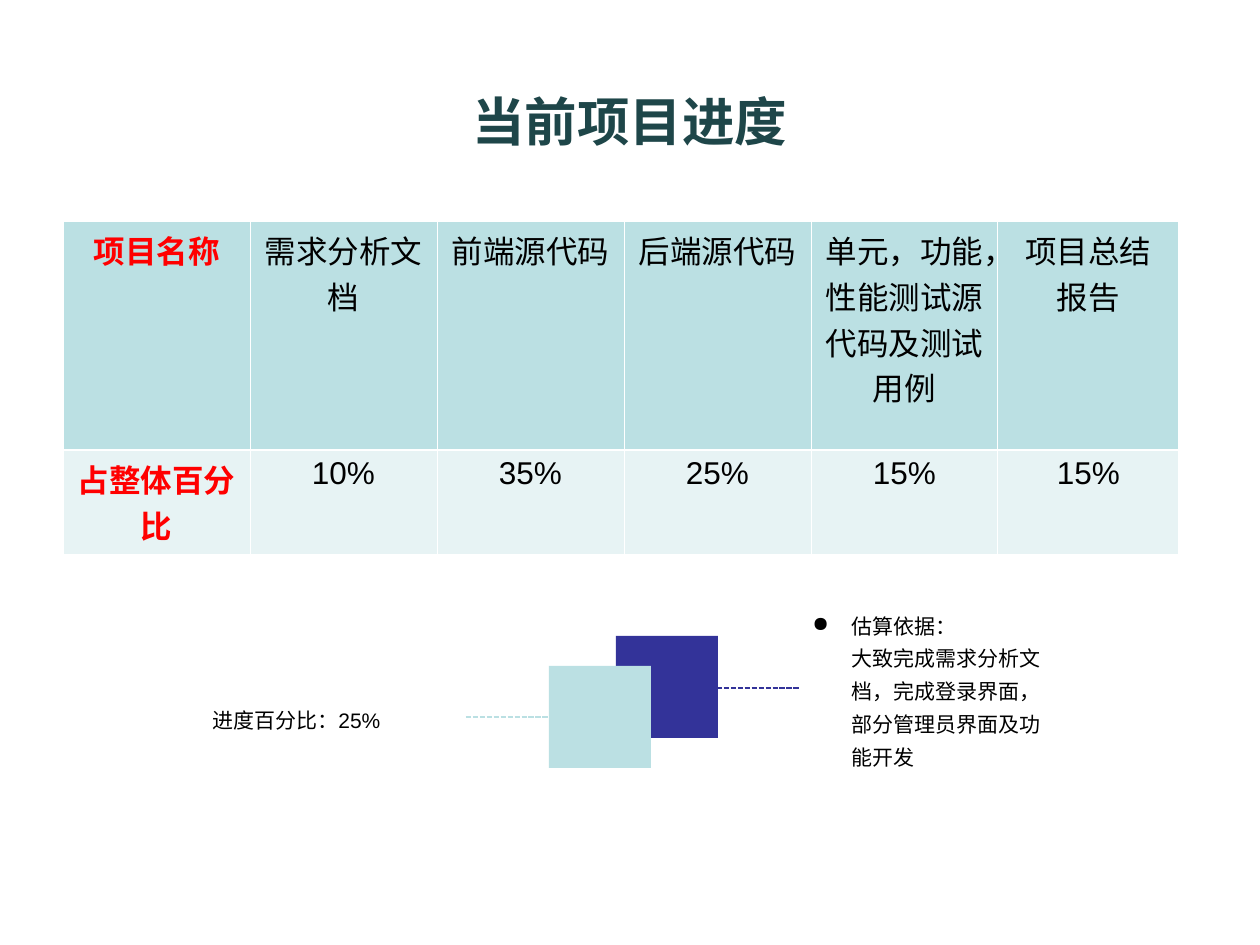
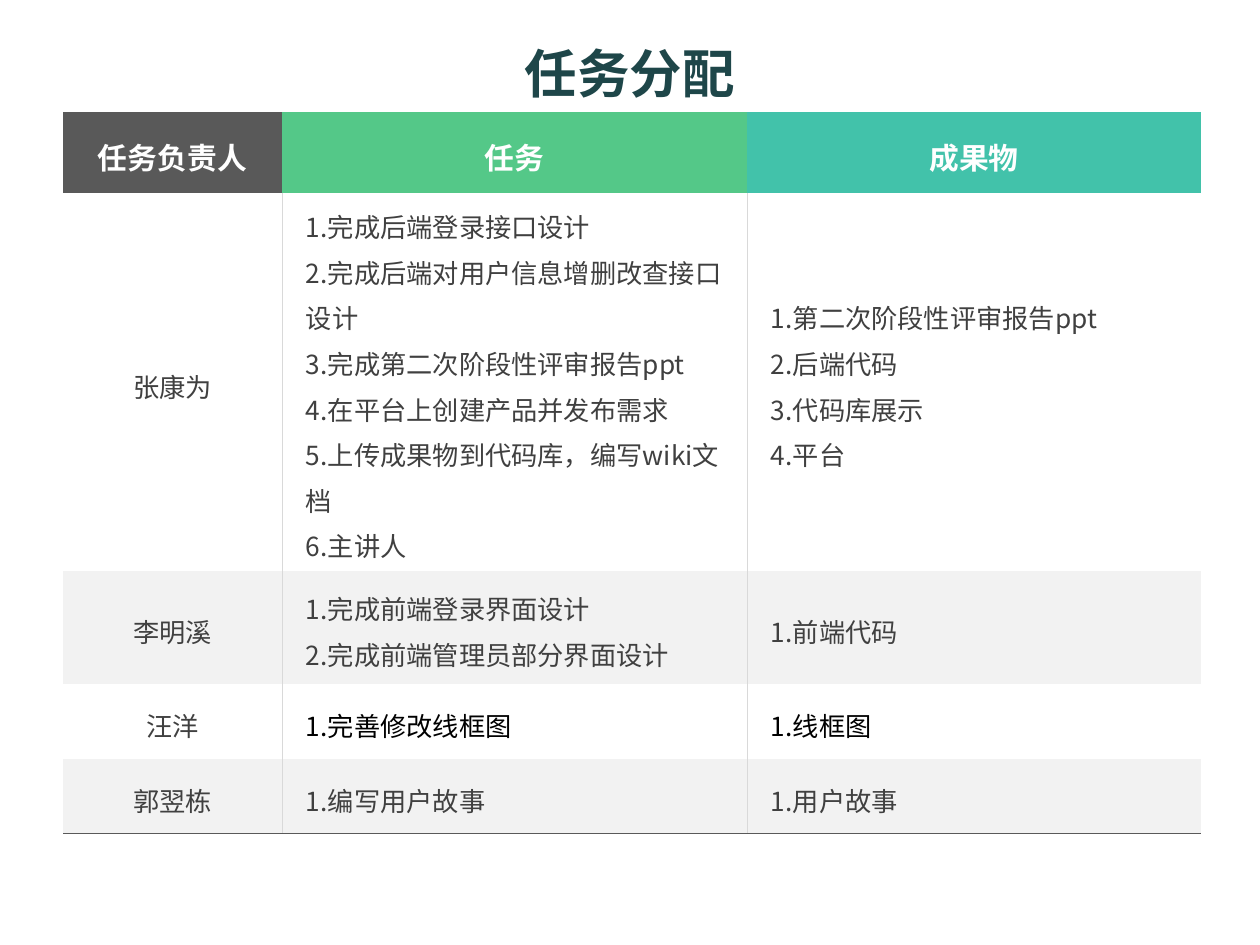
from typing import NamedTuple, Optional, Sequence

from lxml.etree import SubElement
from pptx import Presentation
from pptx.dml.color import RGBColor
from pptx.enum.dml import MSO_LINE_DASH_STYLE as Dash
from pptx.enum.shapes import MSO_CONNECTOR as Connector, MSO_SHAPE as Shape
from pptx.enum.text import MSO_ANCHOR as Anchor, PP_ALIGN as Align
from pptx.oxml.ns import qn
from pptx.util import Pt

PX_PER_INCH = 126
MARGIN = 63
NO_TABLE_STYLE = "{2D5ABB26-0587-4C30-8999-92F81FD0307C}"

LATIN_FONT = "Arial"
HAN_FONT = "Noto Sans CJK SC"

BLACK = RGBColor(0x00, 0x00, 0x00)
WHITE = RGBColor(0xFF, 0xFF, 0xFF)
RED = RGBColor(0xFF, 0x00, 0x00)
TITLE_TEAL = RGBColor(0x1E, 0x46, 0x49)
PALE_BLUE = RGBColor(0xBB, 0xE0, 0xE3)
ICE = RGBColor(0xE7, 0xF3, 0xF4)
INDIGO = RGBColor(0x33, 0x33, 0x99)
DARK_GRAY = RGBColor(0x59, 0x59, 0x59)
BODY_GRAY = RGBColor(0x40, 0x40, 0x40)
RULE_GRAY = RGBColor(0xD9, 0xD9, 0xD9)
BAND_GRAY = RGBColor(0xF2, 0xF2, 0xF2)
GREEN = RGBColor(0x54, 0xC8, 0x88)
AQUA = RGBColor(0x42, 0xC2, 0xAA)


class Box(NamedTuple):
    left: int
    top: int
    width: int
    height: int


class Border(NamedTuple):
    color: RGBColor
    points: float


class Square(NamedTuple):
    left: int
    top: int
    color: RGBColor


class Leader(NamedTuple):
    start: int
    end: int
    y: int
    color: RGBColor


class Assignment(NamedTuple):
    owner: str
    tasks: Sequence[str]
    results: Sequence[str]
    color: RGBColor = BODY_GRAY


PROGRESS_TITLE = Box(MARGIN, 79, 1134, 82)
TASKS_TITLE = Box(MARGIN, 31, 1134, 82)

SHARES = [
    ("项目名称", "占整体百分比"),
    ("需求分析文档", "10%"),
    ("前端源代码", "35%"),
    ("后端源代码", "25%"),
    ("单元，功能，性能测试源代码及测试用例", "15%"),
    ("项目总结报告", "15%"),
]
SQUARE_SIDE = 102
SQUARES = [Square(616, 636, INDIGO), Square(549, 666, PALE_BLUE)]
LEADERS = [Leader(466, 549, 717, PALE_BLUE), Leader(717, 800, 688, INDIGO)]

TASK_HEADINGS = [("任务负责人", DARK_GRAY), ("任务", GREEN), ("成果物", AQUA)]
ASSIGNMENTS = [
    Assignment(
        "张康为",
        [
            "1.完成后端登录接口设计",
            "2.完成后端对用户信息增删改查接口设计",
            "3.完成第二次阶段性评审报告ppt",
            "4.在平台上创建产品并发布需求",
            "5.上传成果物到代码库，编写wiki文档",
            "6.主讲人",
        ],
        ["1.第二次阶段性评审报告ppt", "2.后端代码", "3.代码库展示", "4.平台"],
    ),
    Assignment(
        "李明溪",
        ["1.完成前端登录界面设计", "2.完成前端管理员部分界面设计"],
        ["1.前端代码"],
    ),
    Assignment("汪洋", ["1.完善修改线框图"], ["1.线框图"], BLACK),
    Assignment("郭翌栋", ["1.编写用户故事"], ["1.用户故事"]),
]


def px(length: int) -> int:
    return round(length * 914400 / PX_PER_INCH)


def write(frame, *lines: str, size: float, color: RGBColor = BLACK,
          font: str = LATIN_FONT, bold: bool = False, align=Align.LEFT,
          spacing: float = 1.0, indent: int = 0, bullet: str = "",
          before: float = 0) -> None:
    frame.word_wrap = True
    for number, line in enumerate(lines):
        paragraph = frame.add_paragraph() if number else frame.paragraphs[0]
        paragraph.alignment = align
        paragraph.line_spacing = spacing
        paragraph.space_before = Pt(0 if number else before)
        run = paragraph.add_run()
        run.text = line
        run.font.size = Pt(size)
        run.font.bold = bold
        run.font.name = font
        run.font.color.rgb = color
        SubElement(run._r.get_or_add_rPr(), qn("a:ea"), typeface=HAN_FONT)
        if indent:
            properties = paragraph._p.get_or_add_pPr()
            hanging = bullet and number == 0
            properties.set("marL", str(px(indent)))
            properties.set("indent", str(-px(indent) if hanging else 0))
            if hanging:
                SubElement(properties, qn("a:buChar"), char=bullet)


def add_text(slide, box: Box, *lines: str, **style) -> None:
    frame = slide.shapes.add_textbox(*map(px, box)).text_frame
    frame.vertical_anchor = Anchor.MIDDLE
    write(frame, *lines, **style)


def add_title(slide, box: Box, title: str) -> None:
    add_text(slide, box, title, size=30, color=TITLE_TEAL, font=HAN_FONT,
             bold=True, align=Align.CENTER)


def add_grid(slide, top: int, widths: Sequence[int], heights: Sequence[int]):
    box = Box(MARGIN, top, sum(widths), sum(heights))
    grid = slide.shapes.add_table(len(heights), len(widths), *map(px, box)).table
    grid.first_row = grid.horz_banding = False
    grid._tbl.tblPr.find(qn("a:tableStyleId")).text = NO_TABLE_STYLE
    for column, width in zip(grid.columns, widths):
        column.width = px(width)
    for row, height in zip(grid.rows, heights):
        row.height = px(height)
    return grid


def dress(cell, color: RGBColor, left: Optional[Border] = None,
          right: Optional[Border] = None, top: Optional[Border] = None,
          bottom: Optional[Border] = None) -> None:
    properties = cell._tc.get_or_add_tcPr()
    for tag, border in zip("LRTB", (left, right, top, bottom)):
        if border:
            line = SubElement(properties, qn(f"a:ln{tag}"), w=str(Pt(border.points)))
            fill = SubElement(line, qn("a:solidFill"))
            SubElement(fill, qn("a:srgbClr"), val=str(border.color))
    cell.fill.solid()
    cell.fill.fore_color.rgb = color


def add_square(slide, square: Square) -> None:
    box = Box(square.left, square.top, SQUARE_SIDE, SQUARE_SIDE)
    shape = slide.shapes.add_shape(Shape.RECTANGLE, *map(px, box))
    shape.shadow.inherit = False
    shape.fill.solid()
    shape.fill.fore_color.rgb = square.color
    shape.line.fill.background()


def add_leader(slide, leader: Leader) -> None:
    ends = (leader.start, leader.y, leader.end, leader.y)
    connector = slide.shapes.add_connector(Connector.STRAIGHT, *map(px, ends))
    connector.line.color.rgb = leader.color
    connector.line.width = Pt(1)
    connector.line.dash_style = Dash.SQUARE_DOT
    SubElement(connector._element.spPr, qn("a:effectLst"))


def add_shares(slide) -> None:
    grid = add_grid(slide, 221, [187] * 5 + [181], [229, 104])
    thin, thick = Border(WHITE, 0.45), Border(WHITE, 1.47)
    for column, texts in enumerate(SHARES):
        label = column == 0
        for row, text in enumerate(texts):
            cell = grid.cell(row, column)
            dress(cell, ICE if row else PALE_BLUE, left=thin, right=thin,
                  top=thick if row else thin, bottom=thin if row else thick)
            write(cell.text_frame, text, size=18, bold=label,
                  color=RED if label else BLACK, align=Align.CENTER)


def build_progress(slide) -> None:
    add_title(slide, PROGRESS_TITLE, "当前项目进度")
    add_shares(slide)
    for square in SQUARES:
        add_square(slide, square)
    for leader in LEADERS:
        add_leader(slide, leader)
    add_text(slide, Box(200, 626, 267, 181), "进度百分比：25%", size=12,
             spacing=1.3, align=Align.JUSTIFY)
    add_text(slide, Box(800, 597, 267, 181), "估算依据：",
             "大致完成需求分析文档，完成登录界面，部分管理员界面及功能开发",
             size=12, spacing=1.3, indent=39, bullet="●", before=10)


def fill_task_cell(cell, *lines: str, **style) -> None:
    cell.vertical_anchor = Anchor.MIDDLE
    cell.margin_left = cell.margin_right = px(24)
    write(cell.text_frame, *lines, font=HAN_FONT, spacing=1.2, **style)


def build_tasks(slide) -> None:
    grid = add_grid(slide, 112, [219, 465, 454], [81, 378, 113, 75, 75])
    for column, (heading, color) in enumerate(TASK_HEADINGS):
        cell = grid.cell(0, column)
        dress(cell, color)
        fill_task_cell(cell, heading, size=17, color=WHITE, bold=True,
                       align=Align.CENTER)
    rules = [None, Border(RULE_GRAY, 0.45), Border(RULE_GRAY, 0.23), None]
    for row, work in enumerate(ASSIGNMENTS, 1):
        closing = Border(DARK_GRAY, 0.75) if row == len(ASSIGNMENTS) else None
        for column, lines in enumerate(([work.owner], work.tasks, work.results)):
            cell = grid.cell(row, column)
            dress(cell, WHITE if row % 2 else BAND_GRAY, left=rules[column],
                  right=rules[column + 1], bottom=closing)
            fill_task_cell(cell, *lines, size=15,
                           color=work.color if column else BODY_GRAY,
                           align=Align.LEFT if column else Align.CENTER)
    add_title(slide, TASKS_TITLE, "任务分配")


def main() -> None:
    deck = Presentation()
    deck.slide_width, deck.slide_height = px(1260), px(945)
    blank = deck.slide_layouts[6]
    for build in (build_progress, build_tasks):
        build(deck.slides.add_slide(blank))
    deck.save("out.pptx")


if __name__ == "__main__":
    main()
